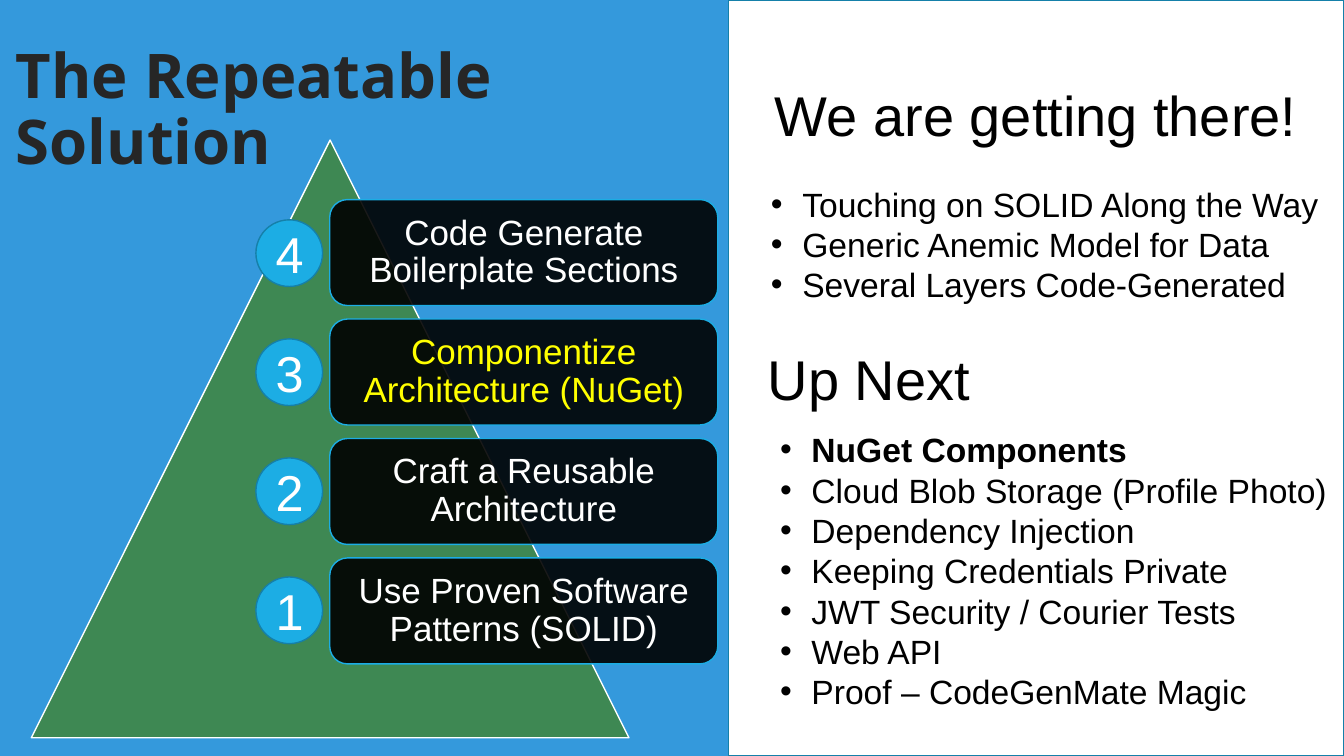
"""Builds the slide about the repeatable solution."""
from lxml.etree import SubElement
from pptx import Presentation
from pptx.dml.color import RGBColor
from pptx.enum.shapes import MSO_SHAPE
from pptx.enum.text import MSO_ANCHOR, PP_ALIGN
from pptx.oxml.ns import qn
from pptx.util import Cm, Pt

COLORS = {
    "sky": "3499DC", "title": "262626", "white": "FFFFFF", "black": "000000",
    "green": "3E8853", "cyan": "1CADE4", "edge": "1580A9", "yellow": "FFFF00",
}
TITLE = "The Repeatable Solution"
STEPS = [
    ("4", "Code Generate Boilerplate Sections", "white"),
    ("3", "Componentize Architecture (NuGet)", "yellow"),
    ("2", "Craft a Reusable Architecture", "white"),
    ("1", "Use Proven Software Patterns (SOLID)", "white"),
]
HEADINGS = [
    ("We are getting there!", (19.28, 1.9, 14.05, 1.96)),
    ("Up Next", (19.1, 8.56, 14.05, 1.96)),
]
DONE = [
    "Touching on SOLID Along the Way",
    "Generic Anemic Model for Data",
    "Several Layers Code-Generated",
]
NEXT = [
    "NuGet Components",
    "Cloud Blob Storage (Profile Photo)",
    "Dependency Injection",
    "Keeping Credentials Private",
    "JWT Security / Courier Tests",
    "Web API",
    "Proof – CodeGenMate Magic",
]
LISTS = [
    (DONE, (19.18, 4.5, 14.45, 3.33), None),
    (NEXT, (19.41, 10.69, 14.45, 7.44), "NuGet Components"),
]
CARD_TOP, CARD_PITCH = 5.03, 3.01
BADGE_TOP, BADGE_PITCH = 5.54, 3.0
INDENT = Cm(0.79)


def color(name):
    return RGBColor.from_string(COLORS[name])


def add_bullet(para):
    properties = para._p.get_or_add_pPr()
    properties.set("marL", str(INDENT))
    properties.set("indent", str(-INDENT))
    SubElement(properties, qn("a:buFont")).set("typeface", "Arial")
    SubElement(properties, qn("a:buChar")).set("char", "•")


def write(shape, lines, size, ink="black", font="Arial", bold_line=None,
          align=PP_ALIGN.LEFT, anchor=MSO_ANCHOR.TOP, spacing=None, bullets=False):
    frame = shape.text_frame
    frame.word_wrap = True
    frame.vertical_anchor = anchor
    for index, line in enumerate(lines):
        para = frame.add_paragraph() if index else frame.paragraphs[0]
        if bullets:
            add_bullet(para)
        para.alignment = align
        if spacing:
            para.line_spacing = spacing
        span = para.add_run()
        span.text = line
        span.font.name = font
        span.font.size = Pt(size)
        span.font.bold = line == bold_line
        span.font.color.rgb = color(ink)


def add_box(page, place):
    return page.shapes.add_textbox(*map(Cm, place))


def add_figure(page, kind, place, fill, line, opacity=None):
    shape = page.shapes.add_shape(kind, *map(Cm, place))
    shape.shadow.inherit = False
    shape.fill.solid()
    shape.fill.fore_color.rgb = color(fill)
    shape.line.color.rgb = color(line)
    shape.line.width = Pt(1)
    if opacity:
        tint = shape._element.spPr.find(qn("a:solidFill"))[0]
        SubElement(tint, qn("a:alpha")).set("val", str(opacity * 1000))
    return shape


def add_step(page, index, number, label, ink):
    card = add_figure(page, MSO_SHAPE.ROUNDED_RECTANGLE,
                      (8.31, CARD_TOP + index * CARD_PITCH, 9.78, 2.67),
                      "black", "cyan", opacity=90)
    write(card, [label], 25, ink, align=PP_ALIGN.CENTER,
          anchor=MSO_ANCHOR.MIDDLE, spacing=0.9)
    badge = add_figure(page, MSO_SHAPE.OVAL,
                       (6.45, BADGE_TOP + index * BADGE_PITCH, 1.68, 1.68),
                       "cyan", "edge")
    write(badge, [number], 36, "white", align=PP_ALIGN.CENTER,
          anchor=MSO_ANCHOR.MIDDLE)


def main():
    deck = Presentation()
    deck.slide_width, deck.slide_height = Cm(33.87), Cm(19.05)
    page = deck.slides.add_slide(deck.slide_layouts[6])
    page.background.fill.solid()
    page.background.fill.fore_color.rgb = color("sky")

    write(add_box(page, (0.15, 0.97, 18.52, 3.68)), [TITLE], 44, "title",
          font="Open Sans", bold_line=TITLE, anchor=MSO_ANCHOR.MIDDLE, spacing=0.9)
    add_figure(page, MSO_SHAPE.RECTANGLE, (18.36, 0, 15.51, 19.05), "white", "edge")
    add_figure(page, MSO_SHAPE.ISOSCELES_TRIANGLE, (0.79, 3.53, 15.06, 15.06),
               "green", "white")
    for index, step in enumerate(STEPS):
        add_step(page, index, *step)
    for heading, place in HEADINGS:
        write(add_box(page, place), [heading], 40)
    for items, place, bold_line in LISTS:
        write(add_box(page, place), items, 24, bold_line=bold_line, bullets=True)
    deck.save("out.pptx")


if __name__ == "__main__":
    main()
